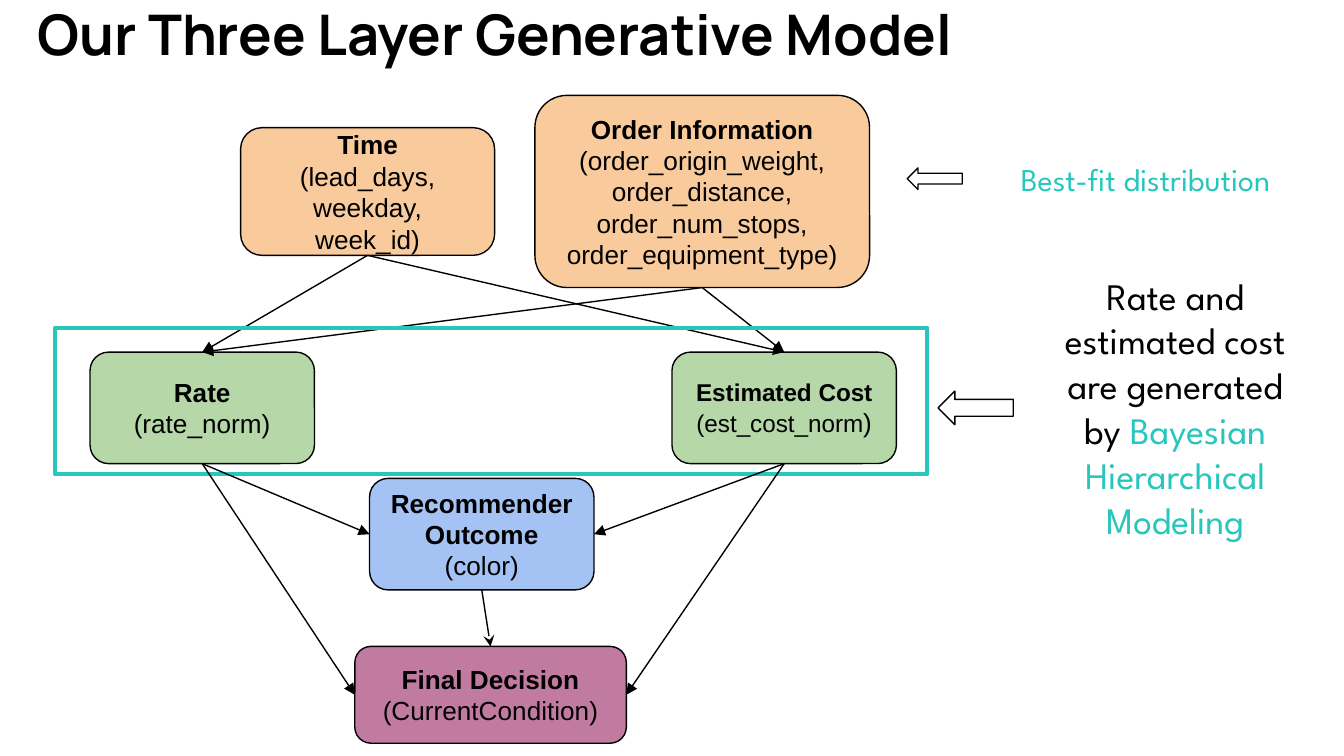
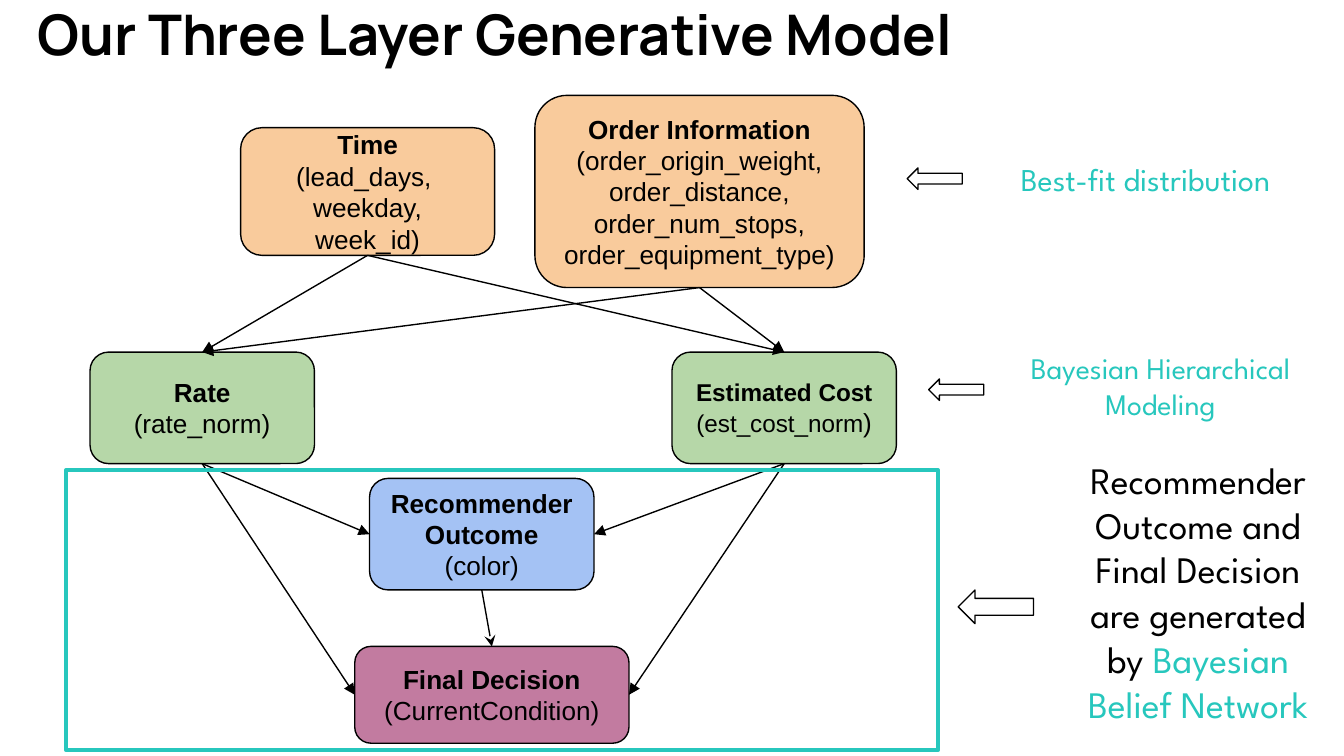
"""Build two slides that explain the layers of a generative model."""
from lxml.etree import SubElement
from pptx import Presentation
from pptx.dml.color import RGBColor
from pptx.enum.shapes import MSO_CONNECTOR as Connector, MSO_SHAPE as Shape
from pptx.enum.text import MSO_ANCHOR as Anchor, MSO_AUTO_SIZE as AutoSize, PP_ALIGN as Align
from pptx.oxml.ns import qn
from pptx.util import Inches, Pt

SLIDE_WIDTH = Inches(10)
SLIDE_HEIGHT = SLIDE_WIDTH * 9 // 16
BLACK, TEAL = "000000", "27C7BD"
ORANGE, GREEN, BLUE, PURPLE = "F9CB9C", "B6D7A8", "A4C2F4", "C27BA0"
TITLE = "Our Three Layer Generative Model"
TITLE_BOX = (0.18, -0.1, 7.69, 1.09)
TOP, LEFT, BOTTOM, RIGHT = range(4)
RATE_LEFT, COST_LEFT, MIDDLE_LEFT = 0.67, 5, 2.75
CARD, CARD_ROWS = (1.67, 0.83), (2.62, 3.56)
SMALL_ARROW, LARGE_ARROW = (0.41, 0.16), (0.56, 0.25)
FRAME_WIDTH = 6.49

ORDER_DETAIL = "(order_origin_weight, order_distance, order_num_stops, order_equipment_type)"
NODES = {
    "time": (ORANGE, (1.79, 0.95, 1.89, 0.95), "Time", 14),
    "order": (ORANGE, (3.98, 0.71, 2.49, 1.43), "Order Information", 14),
    "rate": (GREEN, (RATE_LEFT, CARD_ROWS[0], *CARD), "Rate", 14),
    "cost": (GREEN, (COST_LEFT, CARD_ROWS[0], *CARD), "Estimated Cost", 13),
    "outcome": (BLUE, (MIDDLE_LEFT, CARD_ROWS[1], *CARD), "Recommender Outcome", 14),
    "decision": (PURPLE, (2.64, 4.81, 2.02, 0.72), "Final Decision", 14),
}
DETAILS = {
    "order": [[(ORDER_DETAIL, 14)]],
    "rate": [[("(rate_norm)", 14)]],
    "cost": [[("(est_cost_norm", 13), (")", 14)]],
    "outcome": [[("(color)", 14)]],
    "decision": [[("(CurrentCondition)", 14)]],
}
LINKS = [
    ("time", BOTTOM, "rate", TOP, "triangle"),
    ("order", BOTTOM, "rate", TOP, "triangle"),
    ("time", BOTTOM, "cost", TOP, "triangle"),
    ("order", BOTTOM, "cost", TOP, "triangle"),
    ("rate", BOTTOM, "outcome", LEFT, "triangle"),
    ("cost", BOTTOM, "outcome", RIGHT, "triangle"),
    ("rate", BOTTOM, "decision", LEFT, "triangle"),
    ("cost", BOTTOM, "decision", RIGHT, "triangle"),
    ("outcome", BOTTOM, "decision", TOP, "stealth"),
]
BEST_FIT = ((7.23, 1.09, 2.59, 0.49), [("Best-fit distribution", 17, TEAL)])
BEST_FIT_ARROW = (6.75, 1.25, *SMALL_ARROW)
SLIDES = [
    {
        "time_lines": ["(lead_days,", "weekday, week_id)"],
        "widths": {},
        "frame": (0.41, 2.44, FRAME_WIDTH, 1.09),
        "links_under_frame": 4,
        "arrows": [(6.98, 2.91, *LARGE_ARROW), BEST_FIT_ARROW],
        "notes": [
            ((7.68, 1.93, 2.13, 2.22), [
                ("Rate and estimated cost are generated by ", 20, BLACK),
                ("Bayesian Hierarchical Modeling", 20, TEAL)]),
            BEST_FIT,
        ],
    },
    {
        "time_lines": ["(lead_days, ", "weekday,", "week_id)"],
        "widths": {"order": 2.45, "decision": 2.04},
        "frame": (0.49, 3.5, FRAME_WIDTH, 2.08),
        "links_under_frame": len(LINKS),
        "arrows": [(7.13, 4.39, *LARGE_ARROW), BEST_FIT_ARROW, (6.91, 2.82, *SMALL_ARROW)],
        "notes": [
            ((7.85, 3.3, 2.13, 2.22), [
                ("Recommender Outcome and Final Decision are generated by ", 20, BLACK),
                ("Bayesian Belief Network", 20, TEAL)]),
            BEST_FIT,
            ((7.38, 2.5, 2.51, 0.74), [("Bayesian Hierarchical Modeling", 16, TEAL)]),
        ],
    },
]


def color(value):
    return RGBColor.from_string(value)


def inches(box):
    return [Inches(length) for length in box]


def write(shape, paragraphs, font_name, align=Align.CENTER, anchor=Anchor.TOP):
    """Fill a shape with paragraphs of (text, size, colour, bold) runs."""
    frame = shape.text_frame
    frame.word_wrap = True
    frame.vertical_anchor = anchor
    frame.margin_left = frame.margin_right = Inches(0.1)
    frame.margin_top = frame.margin_bottom = Inches(0.1)
    for index, runs in enumerate(paragraphs):
        paragraph = frame.add_paragraph() if index else frame.paragraphs[0]
        paragraph.alignment = align
        for text, size, hue, bold in runs:
            run = paragraph.add_run()
            run.text = text
            run.font.name, run.font.size, run.font.bold = font_name, Pt(size), bold
            run.font.color.rgb = color(hue)


def add_outline(slide, kind, box, fill=None, line=BLACK, weight=0.75):
    shape = slide.shapes.add_shape(kind, *inches(box))
    shape.shadow.inherit = False
    if fill:
        shape.fill.solid()
        shape.fill.fore_color.rgb = color(fill)
    else:
        shape.fill.background()
    shape.line.color.rgb = color(line)
    shape.line.width = Pt(weight)
    return shape


def add_node(slide, name, content):
    fill, (left, top, width, height), heading, size = NODES[name]
    width = content["widths"].get(name, width)
    shape = add_outline(slide, Shape.ROUNDED_RECTANGLE, (left, top, width, height), fill)
    details = DETAILS.get(name) or [[(line, 14)] for line in content["time_lines"]]
    paragraphs = [[(heading, size, BLACK, True)]]
    paragraphs += [[(text, points, BLACK, False) for text, points in runs] for runs in details]
    write(shape, paragraphs, "Arial", anchor=Anchor.MIDDLE)
    return shape


def add_link(slide, nodes, link):
    start, start_side, end, end_side, head = link
    connector = slide.shapes.add_connector(Connector.STRAIGHT, 0, 0, 0, 0)
    connector.begin_connect(nodes[start], start_side)
    connector.end_connect(nodes[end], end_side)
    connector.line.color.rgb = color(BLACK)
    connector.line.width = Pt(0.75)
    properties = connector._element.spPr
    SubElement(properties.find(qn("a:ln")), qn("a:tailEnd"), type=head)
    SubElement(properties, qn("a:effectLst"))


def add_note(slide, box, runs):
    note = slide.shapes.add_textbox(*inches(box))
    write(note, [[(*run, False) for run in runs]], "League Spartan")
    note.text_frame.auto_size = AutoSize.SHAPE_TO_FIT_TEXT


def build_slide(presentation, content):
    slide = presentation.slides.add_slide(presentation.slide_layouts[5])
    title = slide.shapes.title
    title.left, title.top, title.width, title.height = inches(TITLE_BOX)
    write(title, [[(TITLE, 30, BLACK, True)]], "Manrope", Align.LEFT)
    title.text_frame.auto_size = AutoSize.NONE
    nodes = {name: add_node(slide, name, content) for name in NODES}
    split = content["links_under_frame"]
    for link in LINKS[:split]:
        add_link(slide, nodes, link)
    add_outline(slide, Shape.RECTANGLE, content["frame"], line=TEAL, weight=2.25)
    for link in LINKS[split:]:
        add_link(slide, nodes, link)
    for box in content["arrows"]:
        add_outline(slide, Shape.LEFT_ARROW, box)
    for box, runs in content["notes"]:
        add_note(slide, box, runs)


def main():
    presentation = Presentation()
    presentation.slide_width, presentation.slide_height = SLIDE_WIDTH, SLIDE_HEIGHT
    for content in SLIDES:
        build_slide(presentation, content)
    presentation.save("out.pptx")


if __name__ == "__main__":
    main()
